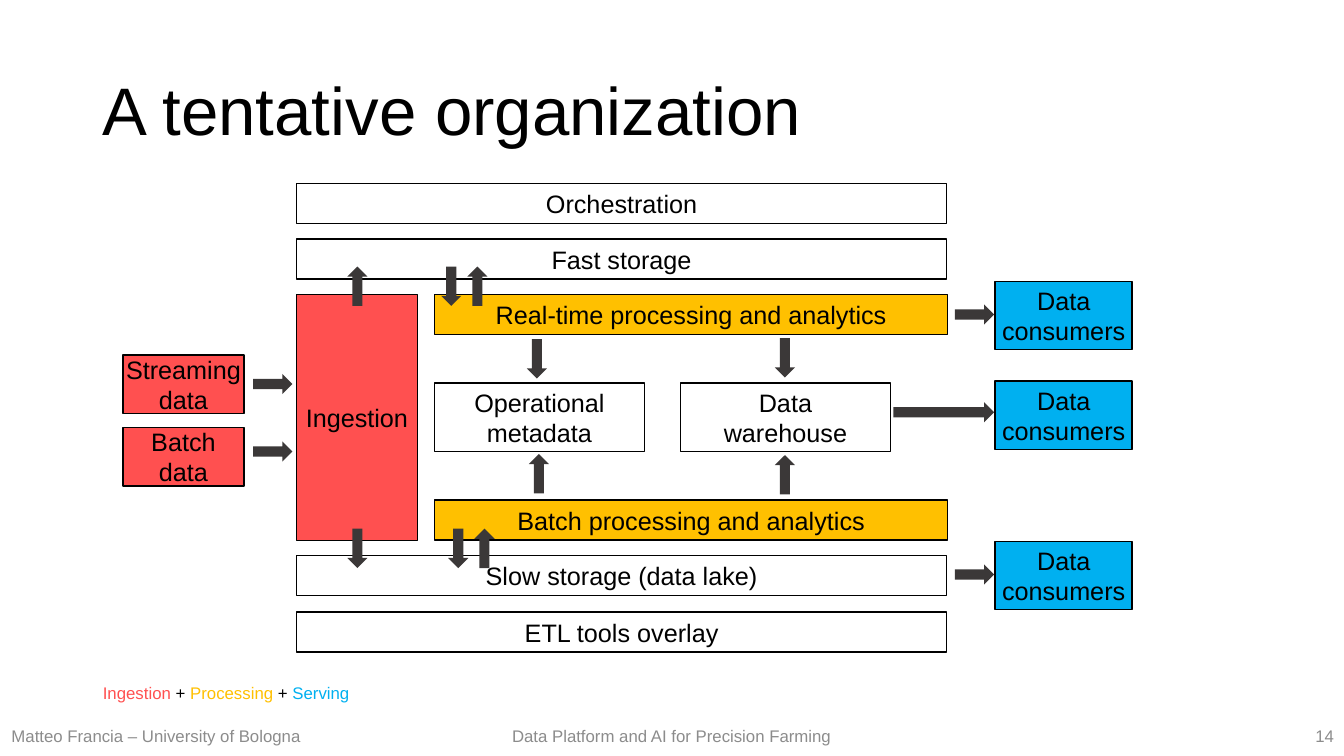
from dataclasses import dataclass

from lxml import etree
from pptx import Presentation
from pptx import util as u
from pptx.dml.color import RGBColor
from pptx.enum import shapes, text
from pptx.oxml import ns

PX = u.Inches(1) // 100  # lengths below are in px, 100 to the inch


@dataclass(frozen=True)
class Theme:
    font: str = "Arial"
    ink: str = "000000"
    paper: str = "FFFFFF"
    ingestion: str = "FF5050"
    processing: str = "FFC000"
    serving: str = "00B0F0"
    arrow: str = "3B3838"
    footer: str = "8C8C8C"
    title_size: int = 48
    box_size: int = 18
    small_size: int = 12


@dataclass(frozen=True)
class Box:
    label: str
    left: int
    top: int
    width: int
    height: int
    fill: str


@dataclass(frozen=True)
class Arrow:
    """A right arrow, placed by its frame before turning."""
    left: int
    top: int
    turn: int = 0
    length: int = 39


@dataclass(frozen=True)
class FooterPart:
    words: str
    left: int
    width: int
    align: text.PP_ALIGN


THEME = Theme()
ALIGN = text.PP_ALIGN
DOWN, UP = 90, 270
ARROW_THICKNESS = 20
STACK_LEFT, STACK_WIDTH = 294, 645
PROCESS_LEFT, PROCESS_WIDTH = 431, 509
BAR_HEIGHT = 40

LAYERS = [
    Box(label, STACK_LEFT, top, STACK_WIDTH, BAR_HEIGHT, THEME.paper)
    for label, top in [("Orchestration", 182), ("Fast storage", 237),
                       ("Slow storage (data lake)", 551), ("ETL tools overlay", 607)]
]
PROCESSES = [
    Box(f"{kind} processing and analytics", PROCESS_LEFT, top, PROCESS_WIDTH,
        BAR_HEIGHT, THEME.processing)
    for kind, top in [("Real-time", 292), ("Batch", 496)]
]
SOURCES = [
    Box(label, 122, top, 120, 58, THEME.ingestion)
    for label, top in [("Streaming data", 352), ("Batch\ndata", 424)]
]
STORES = [
    Box(label, left, 380, 208, 68, THEME.paper)
    for label, left in [("Operational metadata", PROCESS_LEFT), ("Data\vwarehouse", 675)]
]
CONSUMERS = [
    Box("Data\vconsumers", 987, top, 136, 68, THEME.serving) for top in (279, 378, 537)
]
INGESTION = Box("Ingestion", STACK_LEFT, 292, 120, 244, THEME.ingestion)
BOXES = [*SOURCES, INGESTION, *LAYERS, *PROCESSES, *STORES, *CONSUMERS]

ARROWS = [
    # sources to ingestion
    Arrow(251, 371), Arrow(251, 438),
    # slow storage
    Arrow(335, 534, DOWN), Arrow(435, 534, DOWN), Arrow(461, 534, UP),
    # fast storage
    Arrow(335, 274, UP), Arrow(428, 274, DOWN), Arrow(454, 274, UP),
    # processing to metadata and warehouse
    Arrow(515, 460, UP), Arrow(759, 461, UP),
    Arrow(513, 346, DOWN), Arrow(759, 345, DOWN),
    # to consumers
    Arrow(947, 302), Arrow(886, 399, length=100), Arrow(947, 560),
]

FOOTER = [
    FooterPart("Matteo Francia – University of Bologna", 0, 310, ALIGN.CENTER),
    FooterPart("Data Platform and AI for Precision Farming", 498, 338, ALIGN.LEFT),
    FooterPart("14", 1033, 300, ALIGN.RIGHT),
]

LEGEND = [
    ("Ingestion", THEME.ingestion), (" + ", THEME.ink), ("Processing", THEME.processing),
    (" + ", THEME.ink), ("Serving", THEME.serving),
]


def frame(left: int, top: int, width: int, height: int) -> list[int]:
    """Turn px into EMU."""
    return [length * PX for length in (left, top, width, height)]


def style_text(words, size: int, color: str, align: text.PP_ALIGN) -> None:
    words.word_wrap = True
    words.auto_size = text.MSO_AUTO_SIZE.NONE
    words.vertical_anchor = text.MSO_ANCHOR.MIDDLE
    for paragraph in words.paragraphs:
        paragraph.alignment = align
        paragraph.font.name = THEME.font
        paragraph.font.size = u.Pt(size)
        paragraph.font.color.rgb = RGBColor.from_string(color)


def move(placeholder, left: int, top: int, width: int, height: int) -> None:
    (placeholder.left, placeholder.top,
     placeholder.width, placeholder.height) = frame(left, top, width, height)


def fill_title(slide) -> None:
    title = slide.shapes.title
    move(title, 92, 40, 1150, 145)
    title.text_frame.text = "A tentative organization"
    style_text(title.text_frame, THEME.title_size, THEME.ink, ALIGN.LEFT)
    title.text_frame.paragraphs[0].line_spacing = 0.9


def fill_legend(slide) -> None:
    legend = slide.placeholders[1]
    move(legend, 92, 669, 1150, 40)
    paragraph = legend.text_frame.paragraphs[0]
    for word, color in LEGEND:
        run = paragraph.add_run()
        run.text = word
        run.font.color.rgb = RGBColor.from_string(color)
    style_text(legend.text_frame, THEME.small_size, THEME.ink, ALIGN.LEFT)
    paragraph.line_spacing = 0.9
    paragraph.space_before = u.Pt(10)
    properties = paragraph._p.get_or_add_pPr()
    properties.set("marL", "0")
    properties.set("indent", "0")
    no_bullet = etree.Element(ns.qn("a:buNone"))
    properties.find(ns.qn("a:defRPr")).addprevious(no_bullet)


def draw_shape(slide, kind: shapes.MSO_SHAPE, place: list[int], fill: str):
    shape = slide.shapes.add_shape(kind, *place)
    shape.shadow.inherit = False
    shape.fill.solid()
    shape.fill.fore_color.rgb = RGBColor.from_string(fill)
    return shape


def draw_box(slide, box: Box) -> None:
    place = frame(box.left, box.top, box.width, box.height)
    shape = draw_shape(slide, shapes.MSO_SHAPE.RECTANGLE, place, box.fill)
    shape.line.color.rgb = RGBColor.from_string(THEME.ink)
    shape.line.width = u.Pt(1)
    words = shape.text_frame
    words.text = box.label
    words.margin_left = words.margin_right = words.margin_top = words.margin_bottom = 0
    style_text(words, THEME.box_size, THEME.ink, ALIGN.CENTER)


def draw_arrow(slide, arrow: Arrow) -> None:
    place = frame(arrow.left, arrow.top, arrow.length, ARROW_THICKNESS)
    shape = draw_shape(slide, shapes.MSO_SHAPE.RIGHT_ARROW, place, THEME.arrow)
    shape.line.fill.background()
    shape.rotation = arrow.turn


def draw_footer(slide, part: FooterPart) -> None:
    footer = slide.shapes.add_textbox(*frame(part.left, 710, part.width, 40))
    footer.text_frame.text = part.words
    style_text(footer.text_frame, THEME.small_size, THEME.footer, part.align)


def main() -> None:
    deck = Presentation()
    deck.slide_width, deck.slide_height = 1333 * PX, 750 * PX
    slide = deck.slides.add_slide(deck.slide_layouts[1])
    fill_title(slide)
    fill_legend(slide)
    for part in FOOTER:
        draw_footer(slide, part)
    for box in BOXES:
        draw_box(slide, box)
    for arrow in ARROWS:
        draw_arrow(slide, arrow)
    deck.save("out.pptx")


if __name__ == "__main__":
    main()
